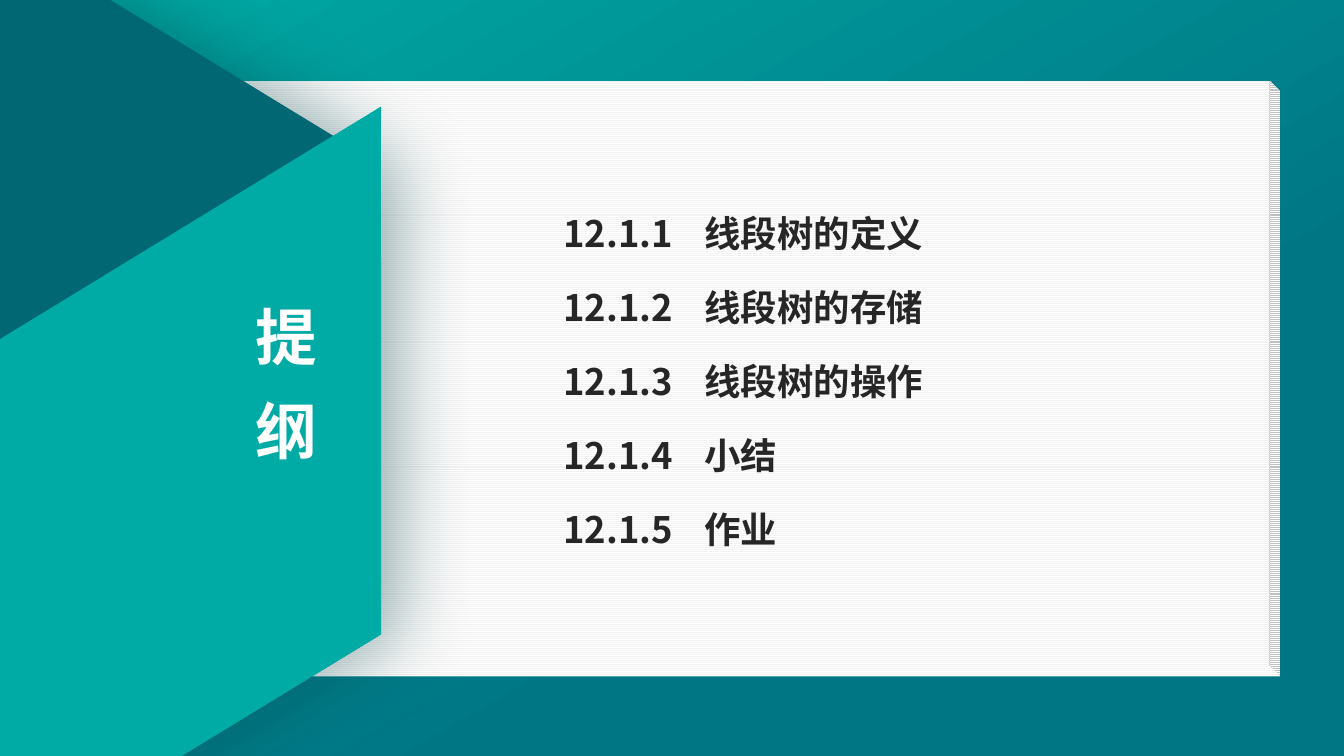
from lxml.etree import SubElement
from pptx import Presentation
from pptx.dml.color import RGBColor
from pptx.enum.dml import MSO_PATTERN
from pptx.enum.shapes import MSO_SHAPE
from pptx.enum.text import MSO_ANCHOR, PP_ALIGN
from pptx.oxml.ns import qn
from pptx.util import Inches, Pt

# Content
TITLE = "提纲"
SECTIONS = [
    ("12.1.1", "线段树的定义"),
    ("12.1.2", "线段树的存储"),
    ("12.1.3", "线段树的操作"),
    ("12.1.4", "小结"),
    ("12.1.5", "作业"),
]

# Format
COLORS = {
    "teal": "00ABA5", "deep": "007684", "dark": "016773", "shade": "013F45",
    "ink": "262626", "white": "FFFFFF", "stripe": "F2F2F2", "black": "000000",
}
FONT = "Noto Sans CJK SC"
TITLE_FONT = {"name": FONT, "size": Pt(44), "bold": True}
SECTION_FONT = {"name": FONT, "size": Pt(26), "bold": True}
TITLE_LINES = {"line_spacing": Pt(67), "alignment": PP_ALIGN.CENTER}
SECTION_LINES = {"line_spacing": 1.5, "space_before": Pt(6)}
SECTION_TAB = Inches(1.4)

# Places in inches: left, top, width, height
WIDTH, HEIGHT = 13.33, 7.5
BOARD = (0, 0.8, 12.7, 5.91)
HEXAGON = (-6.21, -0.79, 10.46, 9.51)
RIBBON = (-2.74, 2.89, 8.29, 4.47)
TITLE_BOX = (2.44, 2.77, 0.8, 1.86)
SECTION_BOX = (5.49, 1.88, 4.23, 3.67)


def rgb(name):
    return RGBColor.from_string(COLORS[name])


def apply(target, values):
    for key, value in values.items():
        setattr(target, key, value)


def fill_gradient(fill, stops, angle):
    fill.gradient()
    fill.gradient_angle = angle
    for stop, (position, color) in zip(fill.gradient_stops, stops):
        stop.position = position
        stop.color.rgb = rgb(color)


def add_shadow(parent, color, alpha, blur, distance, direction):
    effects = parent.find(qn("a:effectLst"))
    if effects is None:
        effects = SubElement(parent, qn("a:effectLst"))
    shadow = SubElement(effects, qn("a:outerShdw"), blurRad=str(Pt(blur)),
                        dist=str(Pt(distance)), dir=str(direction * 60000),
                        algn="ctr", rotWithShape="0")
    tint = SubElement(shadow, qn("a:srgbClr"), val=COLORS[color])
    SubElement(tint, qn("a:alpha"), val=str(alpha * 1000))


def add_panel(slide, kind, place, adjustments, rotation=0):
    panel = slide.shapes.add_shape(kind, *map(Inches, place))
    panel.shadow.inherit = False
    panel.line.fill.background()
    panel.rotation = rotation
    for index, value in enumerate(adjustments):
        panel.adjustments[index] = value
    return panel


def add_lines(slide, place, margins, lines, line_format, font_format, color, shadow=None):
    frame = slide.shapes.add_textbox(*map(Inches, place)).text_frame
    apply(frame, {"word_wrap": True, "vertical_anchor": MSO_ANCHOR.TOP})
    for side, margin in zip(("left", "top", "right", "bottom"), margins):
        setattr(frame, f"margin_{side}", Inches(margin))
    for index, line in enumerate(lines):
        paragraph = frame.paragraphs[0] if index == 0 else frame.add_paragraph()
        apply(paragraph, line_format)
        run = paragraph.add_run()
        run.text = line
        run.font.color.rgb = rgb(color)
        properties = run.font._element
        if shadow:
            add_shadow(properties, *shadow)
        apply(run.font, font_format)
        SubElement(properties, qn("a:ea"), typeface=FONT)
    return frame


def main():
    deck = Presentation()
    deck.slide_width, deck.slide_height = Inches(WIDTH), Inches(HEIGHT)
    slide = deck.slides.add_slide(deck.slide_layouts[6])
    fill_gradient(slide.background.fill, [(0, "teal"), (0.67, "deep")], 300)

    # Striped board
    board = add_panel(slide, MSO_SHAPE.CUBE, BOARD, [0.018])
    board._element.spPr.xfrm.set("flipV", "1")
    board.fill.patterned()
    board.fill.pattern = MSO_PATTERN.LIGHT_HORIZONTAL
    board.fill.fore_color.rgb = rgb("stripe")
    board.fill.back_color.rgb = rgb("white")

    # Dark hexagon and teal ribbon on the left
    hexagon = add_panel(slide, MSO_SHAPE.HEXAGON, HEXAGON, [0.305, 1.155], 90)
    fill_gradient(hexagon.fill, [(0.77, "dark"), (1, "deep")], 270)
    add_shadow(hexagon._element.spPr, "shade", 40, 55, 13, 0)
    ribbon = add_panel(slide, MSO_SHAPE.PARALLELOGRAM, RIBBON, [0.61], 328.6)
    ribbon.fill.solid()
    ribbon.fill.fore_color.rgb = rgb("teal")

    # Title, one character a line
    add_lines(slide, TITLE_BOX, (0, 0, 0, 0), TITLE, TITLE_LINES, TITLE_FONT,
              "white", ("black", 43, 3, 3, 45))

    # Section list, names aligned at a tab stop
    sections = add_lines(slide, SECTION_BOX, (0.1, 0, 0.1, 0.05),
                         ["\t".join(section) for section in SECTIONS],
                         SECTION_LINES, SECTION_FONT, "ink")
    for paragraph in sections.paragraphs:
        tabs = SubElement(paragraph._p.get_or_add_pPr(), qn("a:tabLst"))
        SubElement(tabs, qn("a:tab"), pos=str(SECTION_TAB), algn="l")

    deck.save("out.pptx")


if __name__ == "__main__":
    main()
